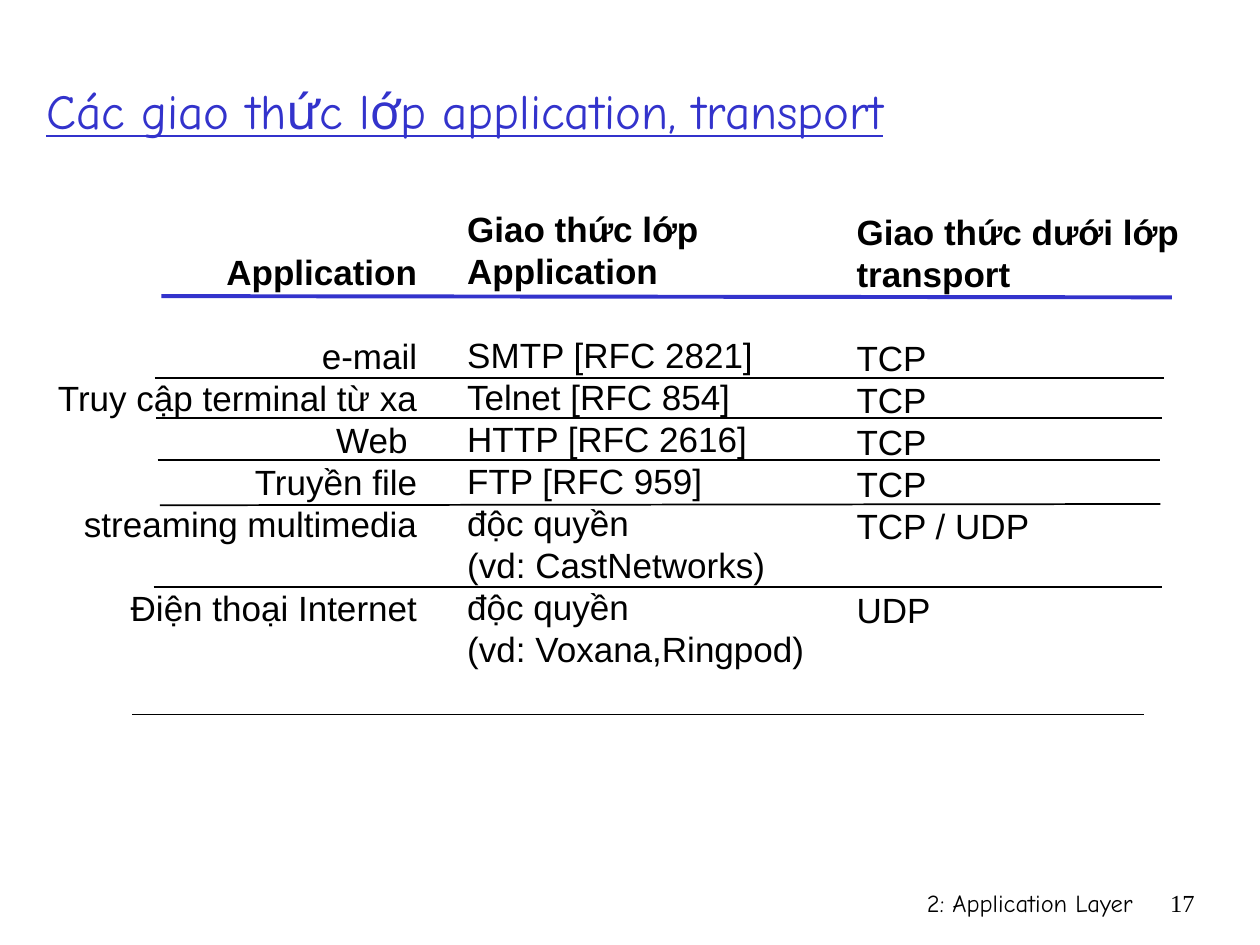
from pptx import Presentation
from pptx.dml.color import RGBColor
from pptx.enum.shapes import MSO_CONNECTOR as CONN
from pptx.enum.text import MSO_ANCHOR as ANCHOR, PP_ALIGN as ALIGN
from pptx.oxml.ns import qn
from pptx.util import Inches, Pt
from lxml.etree import SubElement

UNIT = Inches(1)
BLUE, BLACK = "3333CC", "000000"
LEADING = Pt(24)

COLUMNS = [
    ((0.3, 1.94, 3.11, 3.44), ALIGN.RIGHT, ["Application"],
     ["e-mail", "Truy cập terminal từ xa", "Web ", "Truyền file",
      "streaming multimedia", "", "Điện thoại Internet"]),
    ((3.61, 1.6, 2.9, 3.77), ALIGN.LEFT, ["Giao thức lớp", "Application"],
     ["SMTP [RFC 2821]", "Telnet [RFC 854]", "HTTP [RFC 2616]", "FTP [RFC 959]",
      "độc quyền", "(vd: CastNetworks)", "độc quyền", "(vd: Voxana,Ringpod)"]),
    ((6.7, 1.62, 2.87, 3.44), ALIGN.LEFT, ["Giao thức dưới lớp", "transport"],
     ["TCP", "TCP", "TCP", "TCP", "TCP / UDP", "", "UDP"]),
]
ROW_RULES = [
    (1.23, 3, 9.24, 3), (1.24, 3.32, 9.22, 3.32), (1.25, 3.65, 9.21, 3.65),
    (1.27, 4.01, 9.21, 4), (1.22, 4.66, 9.22, 4.66), (1.05, 5.67, 9.08, 5.67),
]


def grid(*cells):
    """Turn grid columns and rows into slide lengths."""
    return [round(c * UNIT) for c in cells]


def rgb(color):
    """Turn a hex string into a colour."""
    return RGBColor.from_string(color)


def add_box(s, area, anchor=ANCHOR.TOP):
    """Add a wrapping text box and return its text frame."""
    tf = s.shapes.add_textbox(*grid(*area)).text_frame
    tf.word_wrap = True
    tf.vertical_anchor = anchor
    return tf


def write(p, text, font, size, color=BLACK, align=ALIGN.LEFT, bold=False):
    """Fill a paragraph with text in one style."""
    p.text, p.alignment = text, align
    f = p.font
    f.name, f.size, f.bold = font, Pt(size), bold
    f.color.rgb = rgb(color)


def add_column(s, area, align, heads, entries):
    """Add a column of bold headings over entries, empty ones left as gaps."""
    tf = add_box(s, area)
    p, gap = tf.paragraphs[0], 0
    lines = [(h, True) for h in heads] + [("", False)] + [(e, False) for e in entries]
    for i, (text, bold) in enumerate(lines):
        if not text:
            gap = LEADING
            continue
        p = tf.add_paragraph() if i else p
        write(p, text, "Arial", 20, align=align, bold=bold)
        p.line_spacing, p.space_before, gap = LEADING, gap, 0


def add_rule(s, ends, color=BLACK, width=1):
    """Add a straight line without shadow."""
    c = s.shapes.add_connector(CONN.STRAIGHT, *grid(*ends))
    c.line.color.rgb, c.line.width = rgb(color), Pt(width)
    SubElement(c._element.spPr, qn("a:effectLst"))


def main():
    """Build the slide and save it."""
    prs = Presentation()
    prs.slide_width, prs.slide_height = grid(10, 7.5)
    s = prs.slides.add_slide(prs.slide_layouts[6])
    write(add_box(s, (5.92, 7, 3.17, 0.5)).paragraphs[0],
          "2: Application Layer", "Comic Neue", 14, align=ALIGN.RIGHT)
    write(add_box(s, (9.08, 7, 0.5, 0.5)).paragraphs[0],
          "17", "Times New Roman", 14, align=ALIGN.RIGHT)
    title = add_box(s, (0.27, 0.25, 9.57, 1.25), ANCHOR.MIDDLE).paragraphs[0]
    write(title, "Các giao thức lớp application, transport", "Comic Neue", 28, BLUE)
    title.font.underline = True
    for column in COLUMNS:
        add_column(s, *column)
    add_rule(s, (1.28, 2.35, 9.3, 2.36), BLUE, 2.25)
    for ends in ROW_RULES:
        add_rule(s, ends)
    prs.save("out.pptx")


if __name__ == "__main__":
    main()
